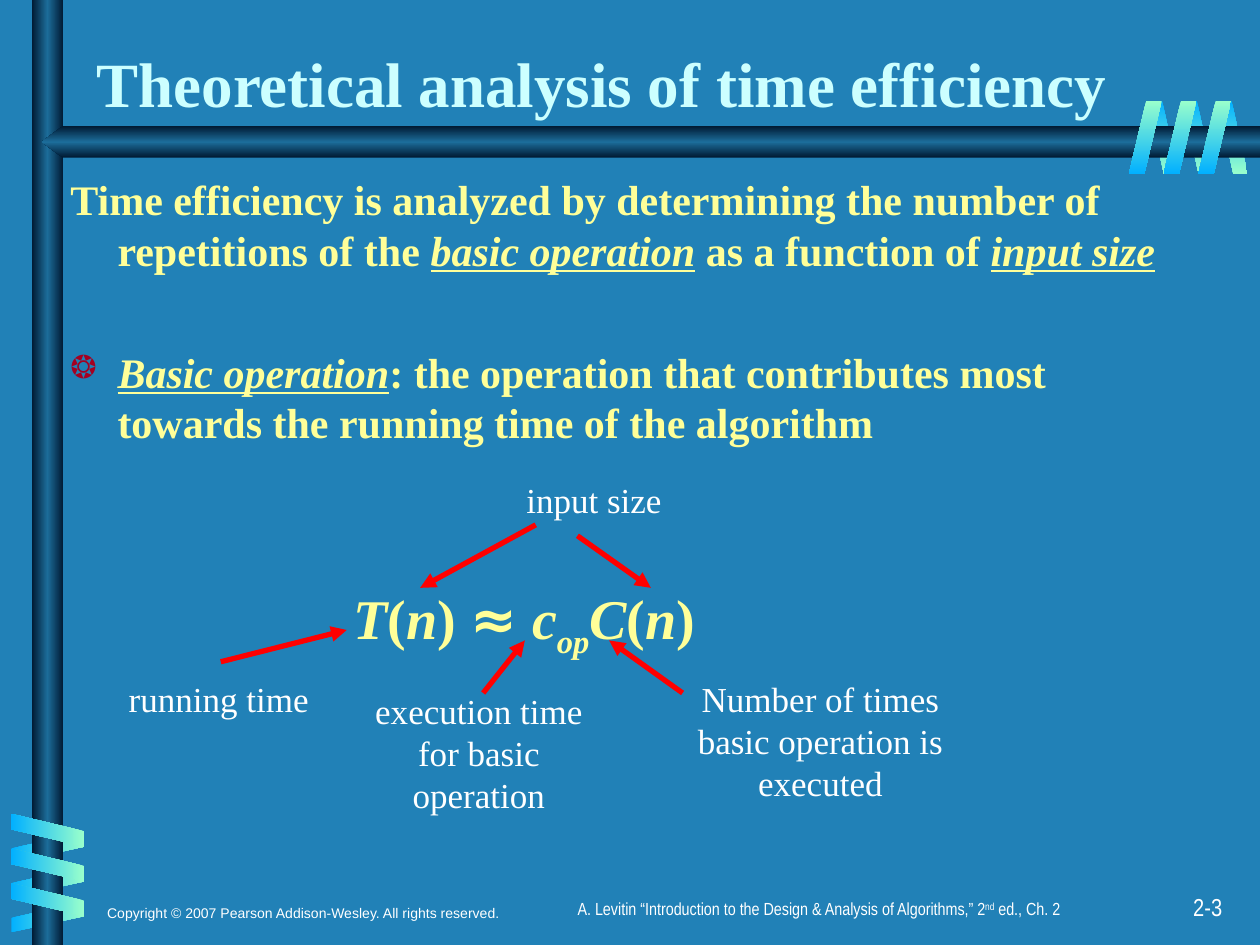
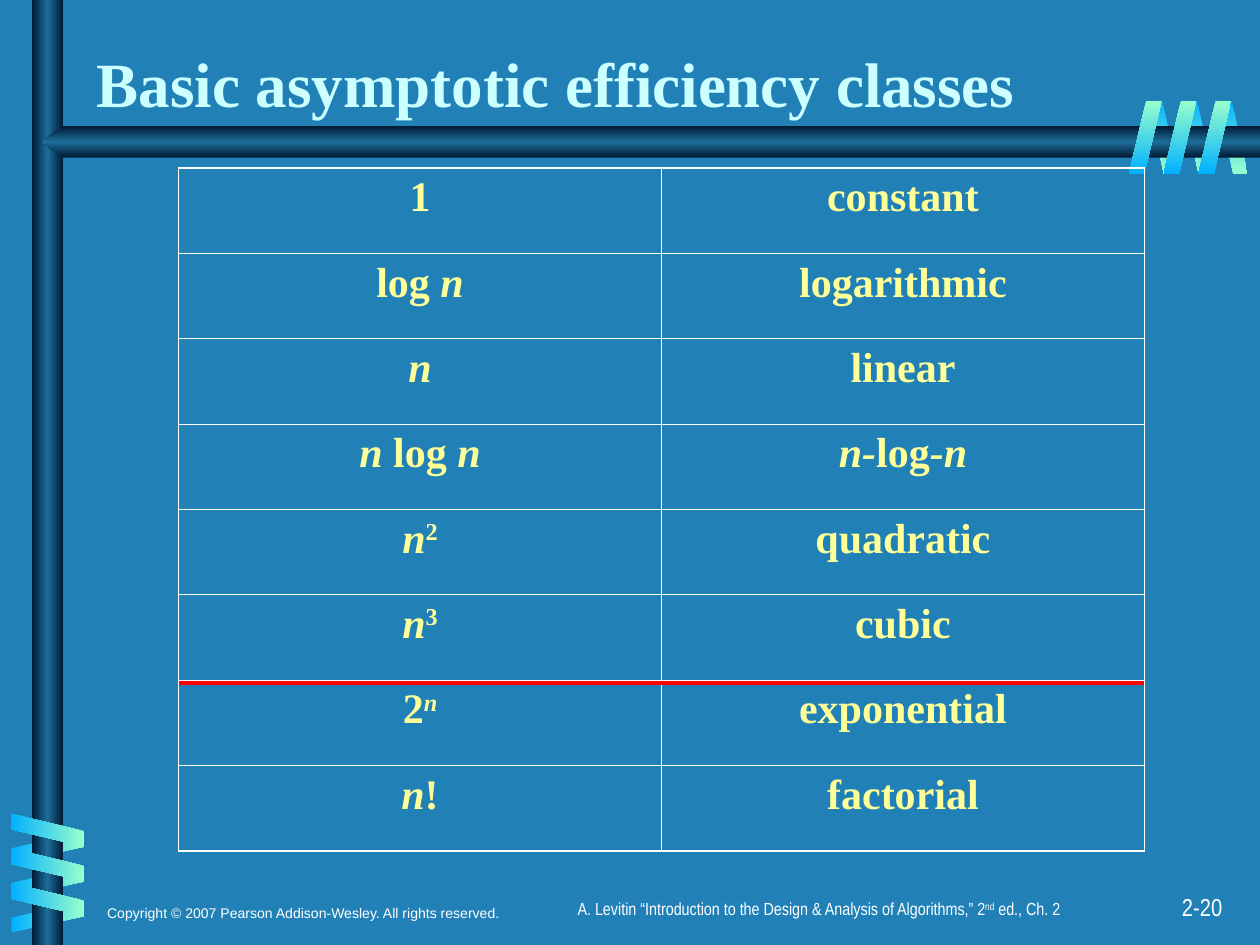
from lxml.etree import SubElement as Sub
from pptx import Presentation
from pptx.dml.color import RGBColor as Rgb
from pptx.enum.shapes import MSO_CONNECTOR as Link, MSO_SHAPE as Kind
from pptx.enum.text import MSO_ANCHOR as Anchor, PP_ALIGN as Align
from pptx.oxml.ns import qn
from pptx.util import Cm, Pt

HUES = {
    "back": "2181B7", "title": "CCFFFF", "body": "FFFF99", "white": "FFFFFF",
    "red": "FF0000", "mark": "A50021", "dark": "001932", "mid": "1C6D9A",
    "sky": "01B0FF", "mint": "99FFCC",
}
SERIF, NARROW = "Times New Roman", "Arial Narrow"
RAISE = {"^": "30000", "_": "-25000"}
STEP = 0.7

CLASSES = [
    ("1", "constant"),
    ([("log ", ""), ("n", "i")], "logarithmic"),
    ([("n", "i")], "linear"),
    ([("n ", "i"), ("log ", ""), ("n", "i")],
     [("n-", "i"), ("log", ""), ("-n", "i")]),
    ([("n", "i"), ("2", "^")], "quadratic"),
    ([("n", "i"), ("3", "^")], "cubic"),
    ([("2", ""), ("n", "i^")], "exponential"),
    ([("n", "i"), ("!", "")], "factorial"),
]


def color(name):
    """Return the named colour."""
    return Rgb.from_string(HUES[name])


def write(para, runs, size, hue, face=SERIF, bold=False, align=Align.LEFT):
    """Fill a paragraph with a string or with (text, marks) runs."""
    para.alignment = align
    font = para.font
    font.size, font.name, font.bold = Pt(size), face, bold
    font.color.rgb = color(hue)
    for text, marks in [(runs, "")] if isinstance(runs, str) else runs:
        run = para.add_run()
        run.text = text
        if "i" in marks:
            run.font.italic = True
        if "u" in marks:
            run.font.underline = True
        if "s" in marks:
            run.font.name = "Noto Sans"
        for mark in RAISE:
            if mark in marks:
                run.font._element.set("baseline", RAISE[mark])


def label(slide, box, paras, size, hue, anchor=Anchor.TOP, wrap=True, **style):
    """Add a text box with one or more paragraphs and return its frame."""
    frame = slide.shapes.add_textbox(*map(Cm, box)).text_frame
    frame.word_wrap, frame.vertical_anchor = wrap, anchor
    for k, runs in enumerate(paras):
        para = frame.add_paragraph() if k else frame.paragraphs[0]
        write(para, runs, size, hue, **style)
    return frame


def indent(para, bullet=None):
    """Give a paragraph a hanging indent and perhaps a bullet."""
    props = para._p.get_or_add_pPr()
    props.set("marL", str(Cm(0.95)))
    props.set("indent", str(-Cm(0.95)))
    if bullet:
        tint = Sub(props, qn("a:buClr"))
        Sub(tint, qn("a:srgbClr"), val=HUES["mark"])
        Sub(props, qn("a:buSzPct"), val="75000")
        Sub(props, qn("a:buChar"), char=bullet)


def blend(shape, names, angle):
    """Paint a shape with an even gradient that runs at a clockwise angle."""
    shape.shadow.inherit = False
    shape.line.fill.background()
    shape.fill.gradient()
    shape.fill.gradient_angle = 360 - angle
    grad = shape._element.spPr.find(qn("a:gradFill"))
    grad.set("rotWithShape", "0")
    stops = grad.find(qn("a:gsLst"))
    for stop in list(stops):
        stops.remove(stop)
    for k, name in enumerate(names):
        stop = Sub(stops, qn("a:gs"), pos=str(100000 * k // (len(names) - 1)))
        Sub(stop, qn("a:srgbClr"), val=HUES[name])


def coil(slide, left, top, wide, names, upright, flip):
    """Add three slanted bands in a row, or in a column if not upright."""
    for k in range(3):
        x, y = (left + k * STEP, top) if upright else (left, top + k * STEP)
        band = slide.shapes.add_shape(
            Kind.PARALLELOGRAM, Cm(x), Cm(y), Cm(wide), Cm(1.47))
        band.adjustments[0] = 0.53
        if not upright:
            band.rotation = 90 if flip else 270
        if flip:
            band._element.spPr.get_or_add_xfrm().set("flipH", "1")
        blend(band, names, 90 if upright else 180)


def frame(deck, title, page):
    """Add a slide with the shared bars, coils, title and footers."""
    slide = deck.slides.add_slide(deck.slide_layouts[6])
    slide.background.fill.solid()
    slide.background.fill.fore_color.rgb = color("back")
    coil(slide, 23.14, 2.03, 0.61, ["sky", "mint"], True, True)
    coil(slide, 0.66, 16.35, 0.61, ["sky", "mint"], False, True)
    steel = ["dark", "mid", "dark"]
    post = slide.shapes.add_shape(
        Kind.RECTANGLE, Cm(0.64), 0, Cm(0.64), deck.slide_height)
    blend(post, steel, 180)
    path = slide.shapes.build_freeform(Cm(25.4), Cm(2.54))
    path.add_line_segments([
        (Cm(x), Cm(y)) for x, y in
        [(1.27, 2.54), (0.84, 2.86), (1.27, 3.18), (25.4, 3.18)]])
    blend(path.convert_to_shape(), steel, 90)
    coil(slide, 0.63, 16, 0.66, ["mint", "sky"], False, False)
    coil(slide, 22.76, 2.03, 0.66, ["mint", "sky"], True, False)
    label(slide, (19.6, 17.86, 5.29, 0.85), [page], 14, "white",
          face=NARROW, align=Align.RIGHT)
    label(slide, (1.91, 17.22, 10.8, 1.48),
          ["Copyright © 2007 Pearson Addison-Wesley. All rights reserved."],
          8, "white", Anchor.BOTTOM, face="Arial")
    label(slide, (7.62, 17.98, 17.78, 0.85),
          [[("A. Levitin “Introduction to the Design & Analysis of "
             "Algorithms,” 2", ""), ("nd", "^"), (" ed., Ch. 2", "")]],
          10, "white", face=NARROW, align=Align.CENTER)
    label(slide, (1.7, 0.64, 21.08, 1.9), [title], 36, "title",
          Anchor.BOTTOM, bold=True)
    return slide


def line(slide, ends, width, arrow=False):
    """Draw a straight red line, with an arrowhead if asked."""
    link = slide.shapes.add_connector(Link.STRAIGHT, *map(Cm, ends))
    link.line.color.rgb, link.line.width = color("red"), Pt(width)
    if arrow:
        Sub(link.line._get_or_add_ln(), qn("a:tailEnd"), type="triangle")
    Sub(link._element.spPr, qn("a:effectLst"))


def edge(cell, widths):
    """Draw white borders on the left, right, top and bottom of a cell."""
    props = cell._tc.get_or_add_tcPr()
    for k, (side, width) in enumerate(zip("LRTB", widths)):
        rule = Sub(props, qn("a:ln" + side), w=str(Pt(width)))
        fill = Sub(rule, qn("a:solidFill"))
        Sub(fill, qn("a:srgbClr"), val=HUES["white"])
        props.insert(k, rule)


def table(slide, rows, box):
    """Add a clear two-column table with a heavier outer border."""
    grid = slide.shapes.add_table(len(rows), 2, *map(Cm, box)).table
    grid.first_row = grid.horz_banding = False
    last = len(rows) - 1
    for r, row in enumerate(rows):
        for c, runs in enumerate(row):
            cell = grid.cell(r, c)
            write(cell.text_frame.paragraphs[0], runs, 24, "body",
                  bold=True, align=Align.CENTER)
            cell.fill.background()
            outer = (c == 0, c == 1, r == 0, r == last)
            edge(cell, [1.08 if out else 0.45 for out in outer])


def theory(deck):
    """Build the slide on the running time formula."""
    slide = frame(deck, "Theoretical analysis of time efficiency", "2-3")
    text = label(slide, (1.17, 3.38, 23.06, 8.2), [], 24, "body")
    lead, basic = text.paragraphs[0], text.add_paragraph()
    indent(lead)
    write(lead, [
        ("Time efficiency is analyzed by determining the number of "
         "repetitions of the ", ""), ("basic operation", "iu"),
        (" as a function of ", ""), ("input size", "iu")],
        24, "body", bold=True)
    indent(basic, "❂")
    basic.space_before = Pt(41)
    write(basic, [
        ("Basic operation", "iu"),
        (": the operation that contributes most towards the running time "
         "of the algorithm", "")], 24, "body", bold=True)
    label(slide, (6.88, 11.63, 8, 1.7), [[
        ("T", "i"), ("(", ""), ("n", "i"), (") ", ""), ("≈ ", "s"),
        ("c", "i"), ("op", "i_"), ("C", "i"), ("(", ""), ("n", "i"),
        (")", "")]], 32, "body", bold=True)
    for box, paras, wrap in [
        ((2.34, 13.54, 4.14, 1.12), ["running time"], False),
        ((6.76, 13.77, 5.79, 1.96),
         ["execution time", "for basic operation"], False),
        ((13.34, 13.54, 6.4, 2.79),
         ["Number of times basic operation is executed"], True),
        ((10.36, 9.53, 3.23, 1.12), ["input size"], False),
    ]:
        label(slide, box, paras, 20, "white", wrap=wrap, align=Align.CENTER)
    for ends in [
        (4.45, 13.34, 6.99, 12.7), (9.74, 13.97, 10.58, 12.91),
        (13.76, 13.97, 12.28, 12.91), (11.64, 10.8, 13.12, 11.85),
        (10.8, 10.58, 8.47, 11.85),
    ]:
        line(slide, ends, 3, arrow=True)


def classes(deck):
    """Build the slide with the table of growth classes."""
    slide = frame(deck, "Basic asymptotic efficiency classes", "2-20")
    table(slide, CLASSES, (3.6, 3.39, 19.47, 13.76))
    line(slide, (3.6, 13.76, 23.07, 13.76), 2.25)


def main():
    """Build and save the deck."""
    deck = Presentation()
    deck.slide_width, deck.slide_height = Cm(25.4), Cm(19.05)
    theory(deck)
    classes(deck)
    deck.save("out.pptx")


if __name__ == "__main__":
    main()
